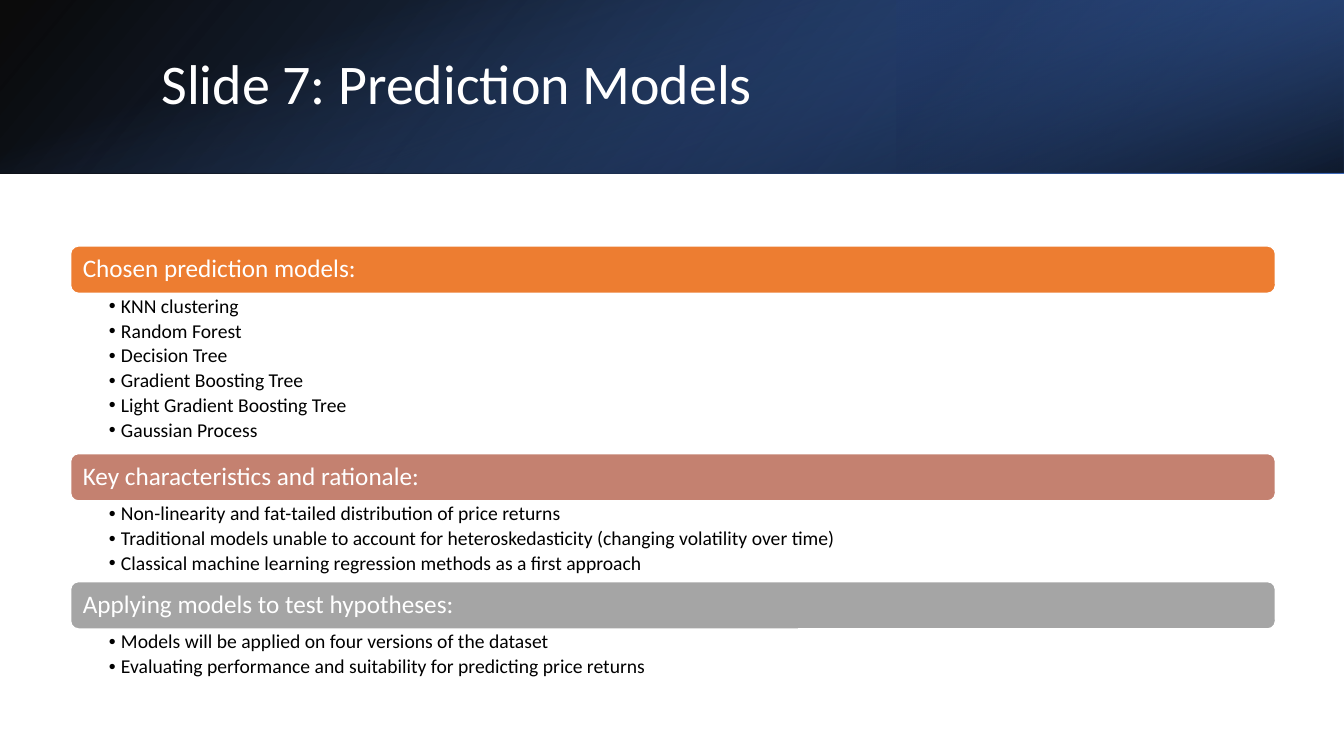
import pptx
import pptx.util
import pptx.dml.color
import pptx.enum.shapes
import pptx.enum.text
import pptx.oxml
import pptx.oxml.ns

RGB = pptx.dml.color.RGBColor
SHAPE = pptx.enum.shapes.MSO_SHAPE
ANCHOR = pptx.enum.text.MSO_ANCHOR

WHITE = RGB(0xFF, 0xFF, 0xFF)
BLACK = RGB(0x00, 0x00, 0x00)
NAVY = RGB(0x20, 0x38, 0x64)
DENIM = RGB(0x2F, 0x55, 0x97)
BLUE = RGB(0x44, 0x72, 0xC4)
ORANGE = RGB(0xED, 0x7D, 0x31)
ROSE = RGB(0xC4, 0x81, 0x70)
GRAY = RGB(0xA5, 0xA5, 0xA5)

SCALE = 9144  # EMU in one px, 100 px to the inch
WIDE, HIGH = 1333, 750
HEAD = 172
LEFT, SPAN, BAR = 70, 1195, 47
NS = pptx.oxml.ns.nsdecls("a")

# Box, turn, flip, gradient angle and stops (place, colour, opacity)
LAYERS = [
    ((0, 0, WIDE, HEAD), 0, True, 140,
     [(0, BLACK, 96), (100, DENIM, 100)]),
    ((889, 0, 444, HEAD), 180, True, 320,
     [(19, NAVY, 68), (100, BLUE, 79)]),
    (((WIDE - HEAD) // 2, (HEAD - WIDE) // 2, HEAD, WIDE), 90, False, 340,
     [(23, BLUE, 0), (99, BLACK, 74)]),
]

# Heading, colour, list height and list items
GROUPS = [
    ("Chosen prediction models:", ORANGE, 159, [
        "KNN clustering",
        "Random Forest",
        "Decision Tree",
        "Gradient Boosting Tree",
        "Light Gradient Boosting Tree",
        "Gaussian Process",
    ]),
    ("Key characteristics and rationale:", ROSE, 80, [
        "Non-linearity and fat-tailed distribution of price returns",
        "Traditional models unable to account for heteroskedasticity "
        "(changing volatility over time)",
        "Classical machine learning regression methods as a first approach",
    ]),
    ("Applying models to test hypotheses:", GRAY, 53, [
        "Models will be applied on four versions of the dataset",
        "Evaluating performance and suitability for predicting price returns",
    ]),
]


def px(count):
    return pptx.util.Emu(count * SCALE)


class Deck:
    """Holds the style and the current slide."""

    font = "Calibri"

    def __init__(self):
        self.file = pptx.Presentation()
        self.file.slide_width = px(WIDE)
        self.file.slide_height = px(HIGH)
        self.slide = self.file.slides.add_slide(self.file.slide_layouts[4])
        self.tree = self.slide.shapes
        self.slots = [s for s in self.slide.placeholders
                      if s.placeholder_format.idx > 0]

    def shape(self, kind, box):
        shape = self.tree.add_shape(kind, *map(px, box))
        shape.shadow.inherit = False
        return shape

    def place(self, slot, box):
        """Move a placeholder to its box and to the front."""
        slot.left, slot.top, slot.width, slot.height = map(px, box)
        self.tree._spTree.append(slot._element)

    def frame(self, shape, insets, anchor):
        frame = shape.text_frame
        frame.word_wrap = True
        frame.auto_size = pptx.enum.text.MSO_AUTO_SIZE.NONE
        frame.vertical_anchor = anchor
        (frame.margin_left, frame.margin_top,
         frame.margin_right, frame.margin_bottom) = map(px, insets)
        return frame

    def text(self, para, words, size, color, after=0):
        para.alignment = pptx.enum.text.PP_ALIGN.LEFT
        para.line_spacing = 0.9
        para.space_before = pptx.util.Pt(0)
        para.space_after = pptx.util.Pt(after)
        run = para.add_run()
        run.text = words
        run.font.name = self.font
        run.font.size = pptx.util.Pt(size)
        run.font.bold = False
        run.font.color.rgb = color

    def layer(self, box, turn, flip, angle, stops):
        """Add a rectangle with a see-through gradient."""
        shape = self.shape(SHAPE.RECTANGLE, box)
        shape.rotation = turn
        shape.line.fill.background()
        props = shape._element.spPr
        if flip:
            props.xfrm.set("flipH", "1")
        marks = "".join(
            f'<a:gs pos="{pos * 1000}"><a:srgbClr val="{color}">'
            f'<a:alpha val="{alpha * 1000}"/></a:srgbClr></a:gs>'
            for pos, color, alpha in stops)
        fill = pptx.oxml.parse_xml(
            f'<a:gradFill {NS}><a:gsLst>{marks}</a:gsLst>'
            f'<a:lin ang="{angle * 60000}" scaled="0"/></a:gradFill>')
        props.find(pptx.oxml.ns.qn("a:prstGeom")).addnext(fill)

    def title(self, words, box):
        slot = self.tree.title
        self.place(slot, box)
        frame = self.frame(slot, (10, 5, 10, 5), ANCHOR.MIDDLE)
        self.text(frame.paragraphs[0], words, 40, WHITE)

    def bar(self, words, color, top):
        shape = self.shape(SHAPE.ROUNDED_RECTANGLE, (LEFT, top, SPAN, BAR))
        shape.fill.solid()
        shape.fill.fore_color.rgb = color
        shape.line.color.rgb = WHITE
        shape.line.width = pptx.util.Pt(1)
        frame = self.frame(shape, (10, 7, 10, 7), ANCHOR.MIDDLE)
        self.text(frame.paragraphs[0], words, 18, WHITE)

    def list(self, items, box):
        slot = self.slots.pop(0)
        self.place(slot, box)
        frame = self.frame(slot, (38, 3, 14, 3), ANCHOR.TOP)
        for i, item in enumerate(items):
            para = frame.add_paragraph() if i else frame.paragraphs[0]
            props = para._p.get_or_add_pPr()
            props.set("marL", str(px(12)))
            props.set("indent", str(px(-12)))
            for mark in ('buFont {} typeface="Arial"', 'buChar {} char="•"'):
                props.append(pptx.oxml.parse_xml(f"<a:{mark.format(NS)}/>"))
            self.text(para, item, 14, BLACK, after=2.6)

    def save(self):
        for slot in self.slots:
            self.tree._spTree.remove(slot._element)
        self.file.save("out.pptx")


def main():
    deck = Deck()
    for layer in LAYERS:
        deck.layer(*layer)
    deck.title("Slide 7: Prediction Models", (150, 38, 1098, 96))
    top = 244
    for name, color, high, items in GROUPS:
        deck.bar(name, color, top)
        deck.list(items, (LEFT, top + BAR, SPAN, high))
        top += BAR + high
    deck.save()


if __name__ == "__main__":
    main()
